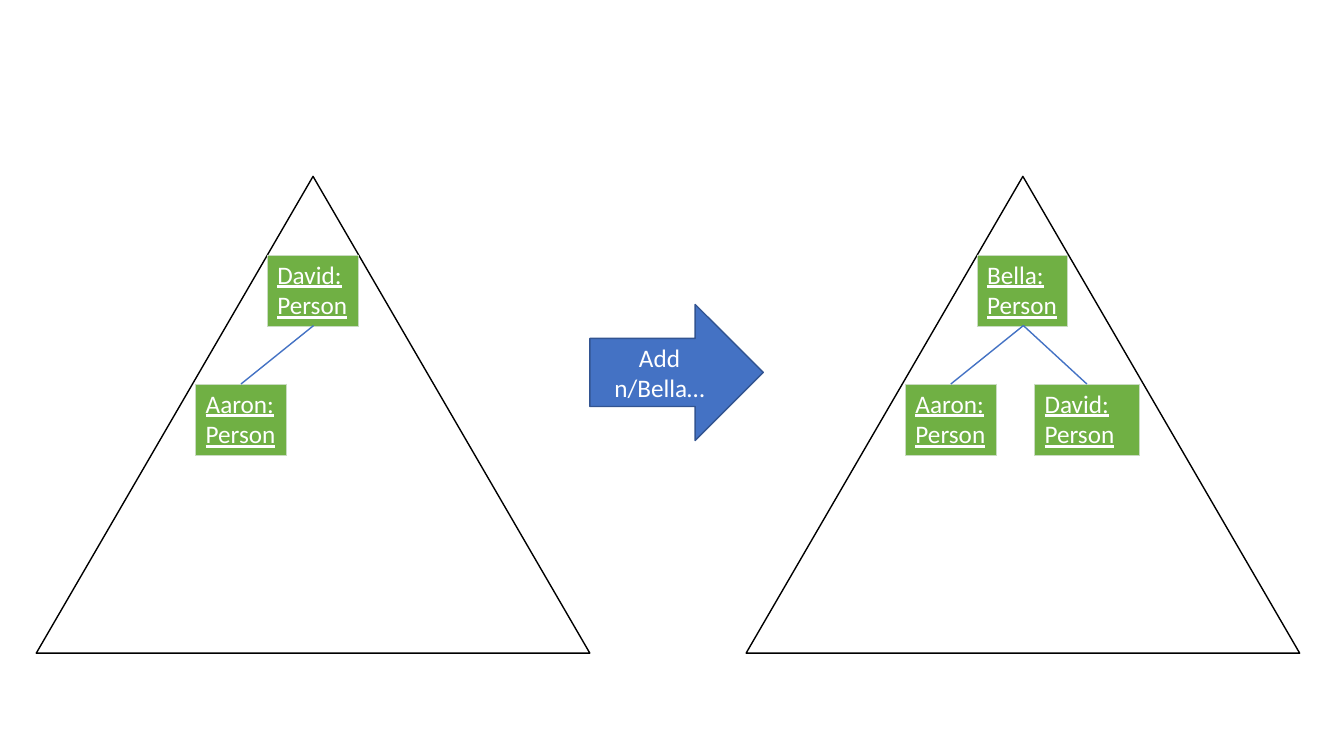
from lxml.etree import SubElement
from pptx import Presentation
from pptx.dml.color import RGBColor
from pptx.enum.shapes import MSO_CONNECTOR, MSO_SHAPE
from pptx.enum.text import MSO_ANCHOR, PP_ALIGN
from pptx.oxml import parse_xml
from pptx.oxml.ns import nsdecls, qn
from pptx.util import Inches, Pt

COLORS = {
    "person": "70B044",
    "border": "C9DBC1",
    "arrow": "4472C4",
    "arrow_edge": "325491",
    "outline": "000000",
    "text": "FFFFFF",
}


class TreeSlide:
    """Draw object trees and the step between them in one shared style."""

    def __init__(self, slide, font="Calibri", size=18):
        self.slide = slide
        self.font = font
        self.size = size

    def color(self, name):
        return RGBColor.from_string(COLORS[name])

    def add_lines(self, text_frame, lines, alignment=PP_ALIGN.LEFT, underline=False):
        for index, line in enumerate(lines):
            paragraph = text_frame.add_paragraph() if index else text_frame.paragraphs[0]
            paragraph.alignment = alignment
            run = paragraph.add_run()
            run.text = line
            run.font.name = self.font
            run.font.size = Pt(self.size)
            run.font.underline = underline
            run.font.color.rgb = self.color("text")

    def shape(self, kind, left, top, width, height, line, fill=None):
        shape = self.slide.shapes.add_shape(
            kind, Inches(left), Inches(top), Inches(width), Inches(height))
        shape.shadow.inherit = False
        shape.line.color.rgb = self.color(line)
        shape.line.width = Pt(1)
        if fill:
            shape.fill.solid()
            shape.fill.fore_color.rgb = self.color(fill)
        else:
            shape.fill.background()
        return shape

    def triangle(self, left):
        self.shape(MSO_SHAPE.ISOSCELES_TRIANGLE, left, 1.75, 5.49, 4.73, "outline")

    def arrow(self, lines):
        shape = self.shape(MSO_SHAPE.RIGHT_ARROW, 5.85, 3.02, 1.72, 1.35, "arrow_edge", "arrow")
        shape.text_frame.word_wrap = True
        shape.text_frame.vertical_anchor = MSO_ANCHOR.MIDDLE
        self.add_lines(shape.text_frame, lines, PP_ALIGN.CENTER)

    def person(self, name, left, top, width=0.9):
        table = self.slide.shapes.add_table(
            1, 1, Inches(left), Inches(top), Inches(width), Inches(0.7)).table
        table.first_row = table.horz_banding = False
        cell = table.cell(0, 0)
        cell.fill.solid()
        cell.fill.fore_color.rgb = self.color("person")
        self.add_lines(cell.text_frame, [f"{name}:", "Person"], underline=True)
        properties = cell._tc.get_or_add_tcPr()
        for index, side in enumerate("LRTB"):
            properties.insert(index, parse_xml(
                f'<a:ln{side} {nsdecls("a")} w="{Pt(0.5)}"><a:solidFill>'
                f'<a:srgbClr val="{COLORS["border"]}"/></a:solidFill></a:ln{side}>'))

    def link(self, start, end):
        connector = self.slide.shapes.add_connector(
            MSO_CONNECTOR.STRAIGHT, Inches(start), Inches(3.23), Inches(end), Inches(3.81))
        connector.line.color.rgb = self.color("arrow")
        connector.line.width = Pt(1)
        SubElement(connector._element.spPr, qn("a:effectLst"))

    def tree(self, left, root, children):
        self.triangle(left)
        self.person(root, left + 2.29, 2.53)
        for name, offset, width, end in children:
            self.person(name, left + offset, 3.81, width)
            self.link(left + 2.75, left + end)


presentation = Presentation()
presentation.slide_width = Inches(13.33)
presentation.slide_height = Inches(7.5)
tree_slide = TreeSlide(presentation.slides.add_slide(presentation.slide_layouts[6]))

aaron = ("Aaron", 1.58, 0.9, 2.03)
david = ("David", 2.86, 1.04, 3.38)
tree_slide.tree(0.36, "David", [aaron])
tree_slide.arrow(["Add", "n/Bella…"])
tree_slide.tree(7.4, "Bella", [aaron, david])

presentation.save("out.pptx")
